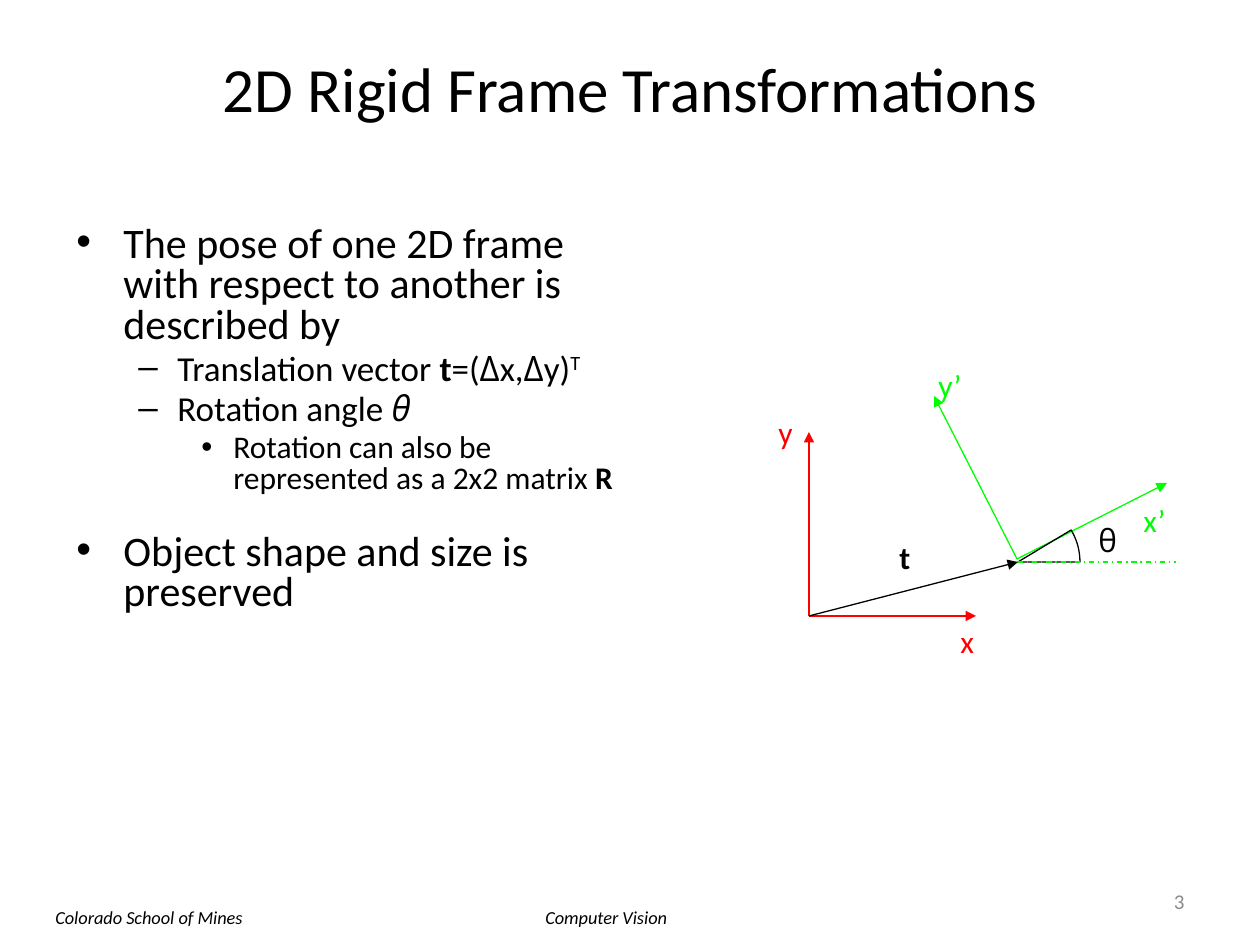
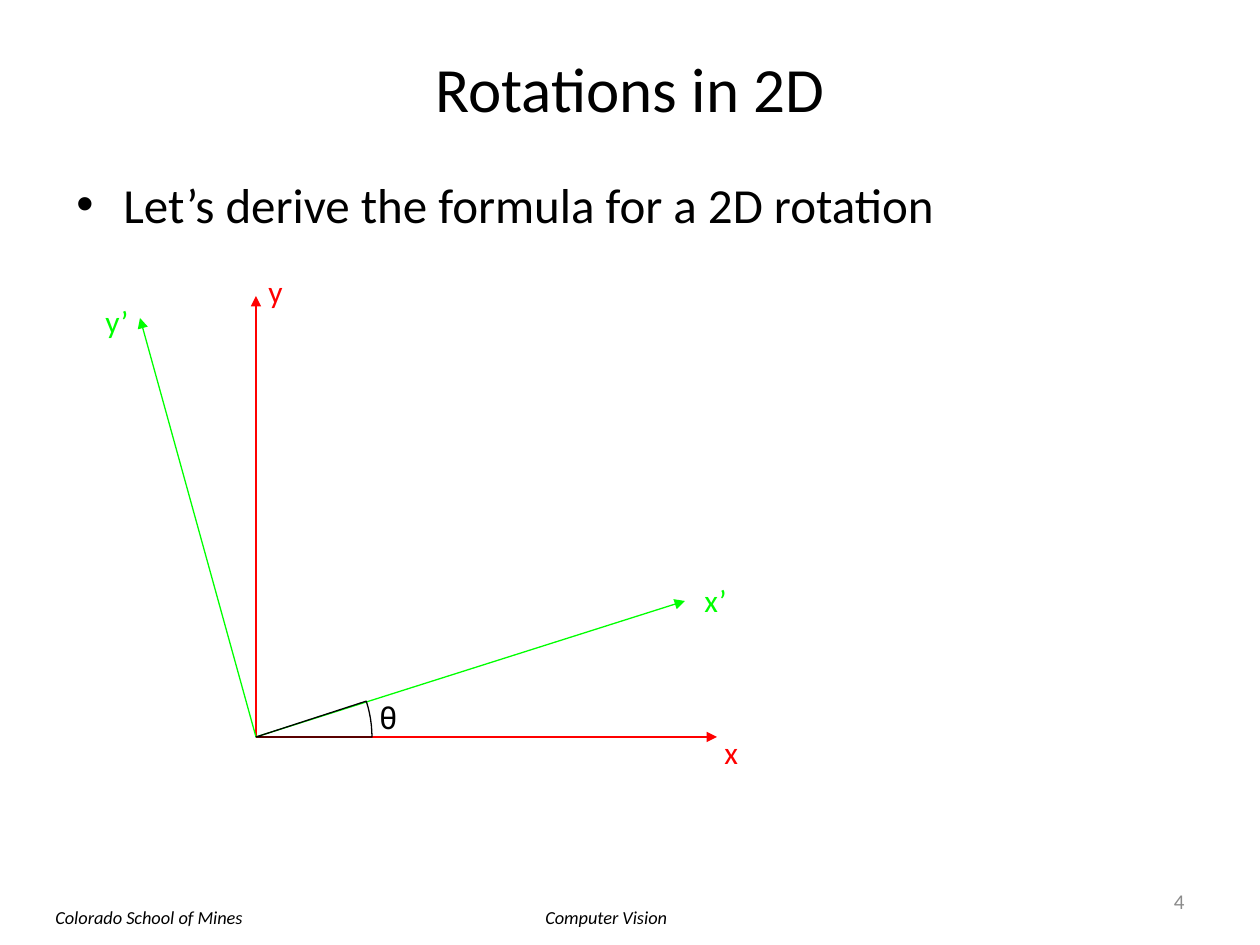
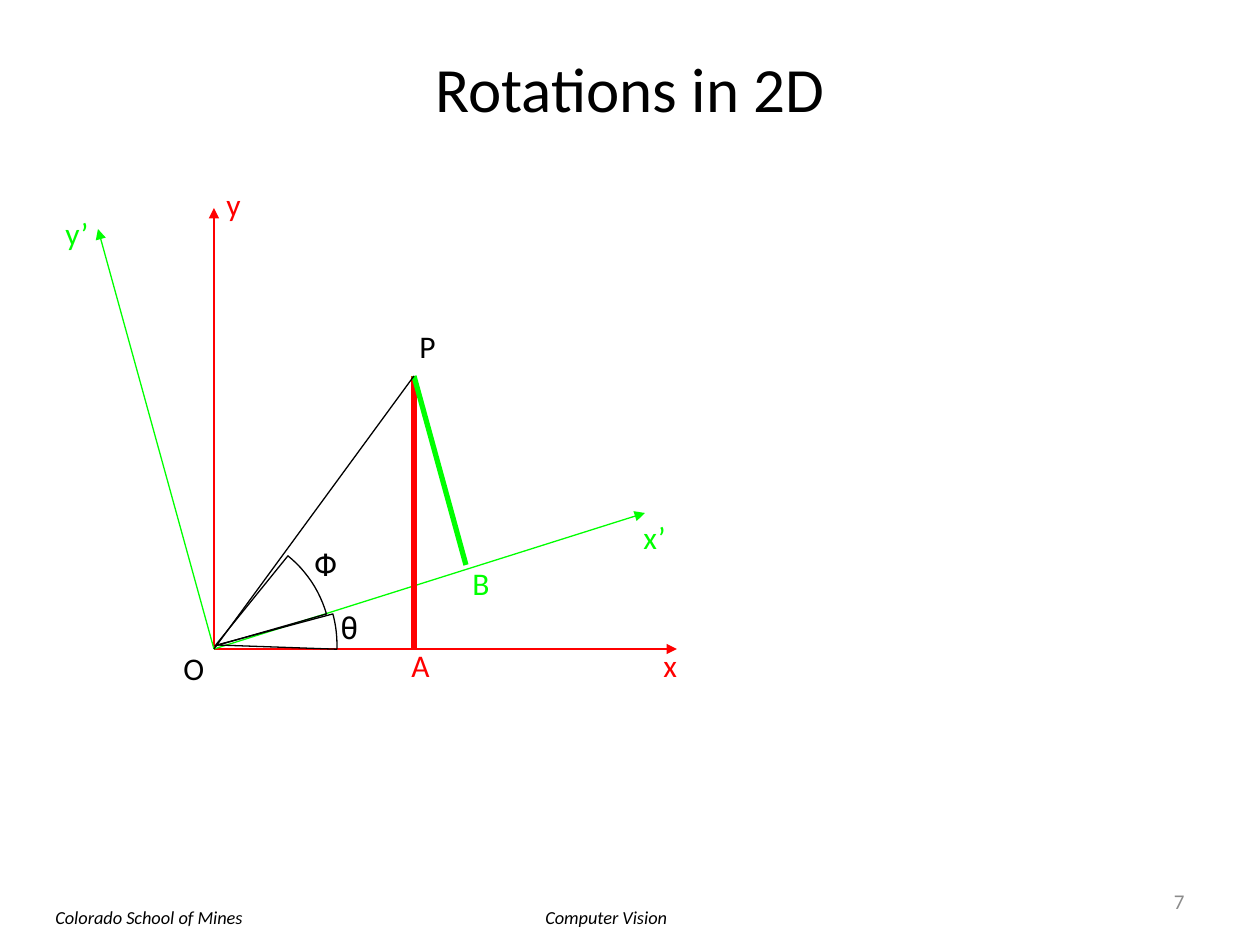
import math

from lxml import etree
from pptx import Presentation
from pptx.dml.color import RGBColor
from pptx.enum.dml import MSO_LINE
from pptx.enum.shapes import MSO_CONNECTOR
from pptx.enum.text import MSO_ANCHOR, PP_ALIGN
from pptx.oxml.ns import qn
from pptx.util import Emu, Pt

EMU_PER_INCH = 914400
PX_PER_INCH = 126
STRAIGHT = MSO_CONNECTOR.STRAIGHT
DASH_DOT = MSO_LINE.DASH_DOT
TOP, MIDDLE = MSO_ANCHOR.TOP, MSO_ANCHOR.MIDDLE
LEFT, CENTER, RIGHT = PP_ALIGN.LEFT, PP_ALIGN.CENTER, PP_ALIGN.RIGHT

COLORS = {
    "text": "000000",
    "fixed": "FF0000",
    "rotated": "00FF00",
    "number": "8B8B8B",
}
FONT = "Calibri"
SYMBOL_FONT = "Open Sans"
ANGLE_FONT = "Roboto"
LABEL_WIDTH, LABEL_HEIGHT = 93, 50
# Bullet character, left margin and first-line indent for each level
BULLET_LEVELS = [("•", 48, -47), ("–", 102, -39), ("•", 158, -32)]


def px(value):
    return Emu(round(value * EMU_PER_INCH / PX_PER_INCH))


def rgb(color):
    return RGBColor.from_string(COLORS[color])


def add_run(paragraph, text, size, color="text", font=FONT, bold=False,
            italic=False, superscript=False):
    run = paragraph.add_run()
    run.text = text
    run.font.size = Pt(size)
    run.font.name = font
    run.font.bold = bold
    run.font.italic = italic
    run.font.color.rgb = rgb(color)
    if superscript:
        run.font._element.set("baseline", "30000")


def add_text_frame(slide, left, top, width, height, anchor=TOP):
    box = slide.shapes.add_textbox(px(left), px(top), px(width), px(height))
    frame = box.text_frame
    frame.word_wrap = True
    frame.vertical_anchor = anchor
    return frame


def add_text(slide, text, left, top, width, height, size, align=LEFT,
             anchor=TOP, **style):
    frame = add_text_frame(slide, left, top, width, height, anchor)
    paragraph = frame.paragraphs[0]
    paragraph.alignment = align
    add_run(paragraph, text, size, **style)


def add_label(slide, text, left, top, color="text", width=LABEL_WIDTH, **style):
    add_text(slide, text, left, top, width, LABEL_HEIGHT, 18, color=color, **style)


def add_bullet(paragraph, level):
    character, margin, indent = BULLET_LEVELS[level]
    paragraph.level = level
    properties = paragraph._p.get_or_add_pPr()
    properties.set("marL", str(px(margin)))
    properties.set("indent", str(px(indent)))
    etree.SubElement(properties, qn("a:buFont")).set("typeface", "Arial")
    etree.SubElement(properties, qn("a:buChar")).set("char", character)


def add_bullets(slide, left, top, width, height, items, line_spacing=1.0):
    """Each item is a level, the space before, a text size and its runs."""
    frame = add_text_frame(slide, left, top, width, height)
    for index, (level, space_before, size, runs) in enumerate(items):
        paragraph = frame.add_paragraph() if index else frame.paragraphs[0]
        add_bullet(paragraph, level)
        paragraph.line_spacing = line_spacing
        paragraph.space_before = Pt(space_before)
        for text, style in runs:
            add_run(paragraph, text, size, **style)


def add_line(slide, start, end, color="text", width=0.75, dash=None):
    line = slide.shapes.add_connector(STRAIGHT, *map(px, start + end))
    line.line.color.rgb = rgb(color)
    line.line.width = Pt(width)
    if dash:
        line.line.dash_style = dash
    etree.SubElement(line._element.spPr, qn("a:effectLst"))
    return line


def add_arrow(slide, start, end, color="text"):
    arrow = add_line(slide, start, end, color)
    outline = arrow.line._get_or_add_ln()
    etree.SubElement(outline, qn("a:tailEnd")).set("type", "triangle")


def add_axes(slide, origin, x_end, y_end, color):
    for end in (x_end, y_end):
        add_arrow(slide, origin, end, color)


def add_angle(slide, apex, radius, start, end, steps=12):
    """Outline a sector; angles are in degrees, counterclockwise from x."""
    x, y = apex
    points = []
    for step in range(steps + 1):
        angle = math.radians(start + (end - start) * step / steps)
        points.append((px(x + radius * math.cos(angle)),
                       px(y - radius * math.sin(angle))))
    builder = slide.shapes.build_freeform(px(x), px(y))
    builder.add_line_segments(points, close=True)
    shape = builder.convert_to_shape()
    shape.shadow.inherit = False
    shape.fill.background()
    shape.line.color.rgb = rgb("text")
    shape.line.width = Pt(0.75)


def add_slide(presentation, title, number):
    slide = presentation.slides.add_slide(presentation.slide_layouts[6])
    add_text(slide, "Computer Vision", 533, 900, 176, 34, 10.5, italic=True)
    add_text(slide, "Colorado School of Mines", 43, 900, 255, 34, 10.5, italic=True)
    add_text(slide, title, 63, 38, 1134, 98, 36, CENTER, MIDDLE)
    add_text(slide, str(number), 903, 876, 294, 50, 12, RIGHT, MIDDLE, color="number")
    return slide


def build_rigid_frame(presentation):
    slide = add_slide(presentation, "2D Rigid Frame Transformations", 3)
    symbol = {"font": SYMBOL_FONT}
    add_bullets(slide, 63, 220, 598, 624, [
        (0, 0, 24, [("The pose of one 2D frame with respect to another is "
                     "described by", {})]),
        (1, 4, 20, [("Translation vector ", {}), ("t", {"bold": True}),
                    ("=(", {}), ("Δ", symbol), ("x,", {}), ("Δ", symbol),
                    ("y)", {}), ("T", {"superscript": True})]),
        (1, 4, 20, [("Rotation angle ", {}),
                    ("θ", {"font": SYMBOL_FONT, "italic": True})]),
        (2, 3.6, 18, [("Rotation can also be represented as a 2x2 matrix ", {}),
                      ("R", {"bold": True})]),
        (0, 22, 24, [("Object shape and size is preserved", {})]),
    ], line_spacing=0.8)

    origin, moved_origin = (809, 616), (1018, 562)
    add_axes(slide, origin, (976, 616), (809, 432), "fixed")
    add_axes(slide, (1017, 559), (1167, 483), (934, 396), "rotated")
    add_arrow(slide, origin, moved_origin)
    add_angle(slide, moved_origin, 62, 0, 31)
    add_line(slide, moved_origin, (1176, 562), "rotated", dash=DASH_DOT)

    add_label(slide, "t", 887, 532, width=40, bold=True)
    add_label(slide, "x", 948, 616, "fixed", width=43)
    add_label(slide, "y", 766, 407, "fixed", width=43)
    add_label(slide, "x’", 1131, 495, "rotated", width=53)
    add_label(slide, "y’", 926, 360, "rotated", width=53)
    add_label(slide, "θ", 1086, 515, width=44, font=SYMBOL_FONT)


def build_rotation_axes(presentation):
    slide = add_slide(presentation, "Rotations in 2D", 4)
    origin = (256, 737)
    add_axes(slide, origin, (717, 737), (256, 296), "fixed")
    add_axes(slide, origin, (685, 601), (140, 318), "rotated")
    add_bullets(slide, 63, 168, 1134, 677, [
        (0, 0, 28, [("Let’s derive the formula for a 2D rotation", {})]),
    ])
    add_angle(slide, origin, 116, 0, 18)

    add_label(slide, "x", 712, 727, "fixed")
    add_label(slide, "y", 256, 266, "fixed")
    add_label(slide, "x’", 692, 575, "rotated")
    add_label(slide, "y’", 93, 296, "rotated")
    add_label(slide, "θ", 367, 692, font=ANGLE_FONT)


def build_rotated_point(presentation):
    slide = add_slide(presentation, "Rotations in 2D", 7)
    origin, point = (214, 649), (414, 376)
    add_axes(slide, origin, (677, 649), (214, 208), "fixed")
    add_axes(slide, origin, (645, 513), (98, 229), "rotated")
    add_line(slide, point, (414, 649), "fixed", width=3)
    add_line(slide, point, (466, 565), "rotated", width=3)
    add_line(slide, origin, point)
    add_angle(slide, (217, 645), 120, -2, 15)
    add_angle(slide, (215, 646), 116, 16, 51)

    add_label(slide, "P", 407, 321)
    add_label(slide, "O", 171, 643)
    add_label(slide, "A", 399, 640, "fixed")
    add_label(slide, "B", 460, 558, "rotated")
    add_label(slide, "x", 651, 640, "fixed")
    add_label(slide, "y", 214, 179, "fixed")
    add_label(slide, "x’", 631, 512, "rotated")
    add_label(slide, "y’", 53, 208, "rotated")
    add_label(slide, "θ", 328, 602, font=ANGLE_FONT)
    add_label(slide, "Φ", 302, 539, font=ANGLE_FONT)


def main():
    presentation = Presentation()
    presentation.slide_width = px(1260)
    presentation.slide_height = px(945)
    build_rigid_frame(presentation)
    build_rotation_axes(presentation)
    build_rotated_point(presentation)
    presentation.save("out.pptx")


if __name__ == "__main__":
    main()
